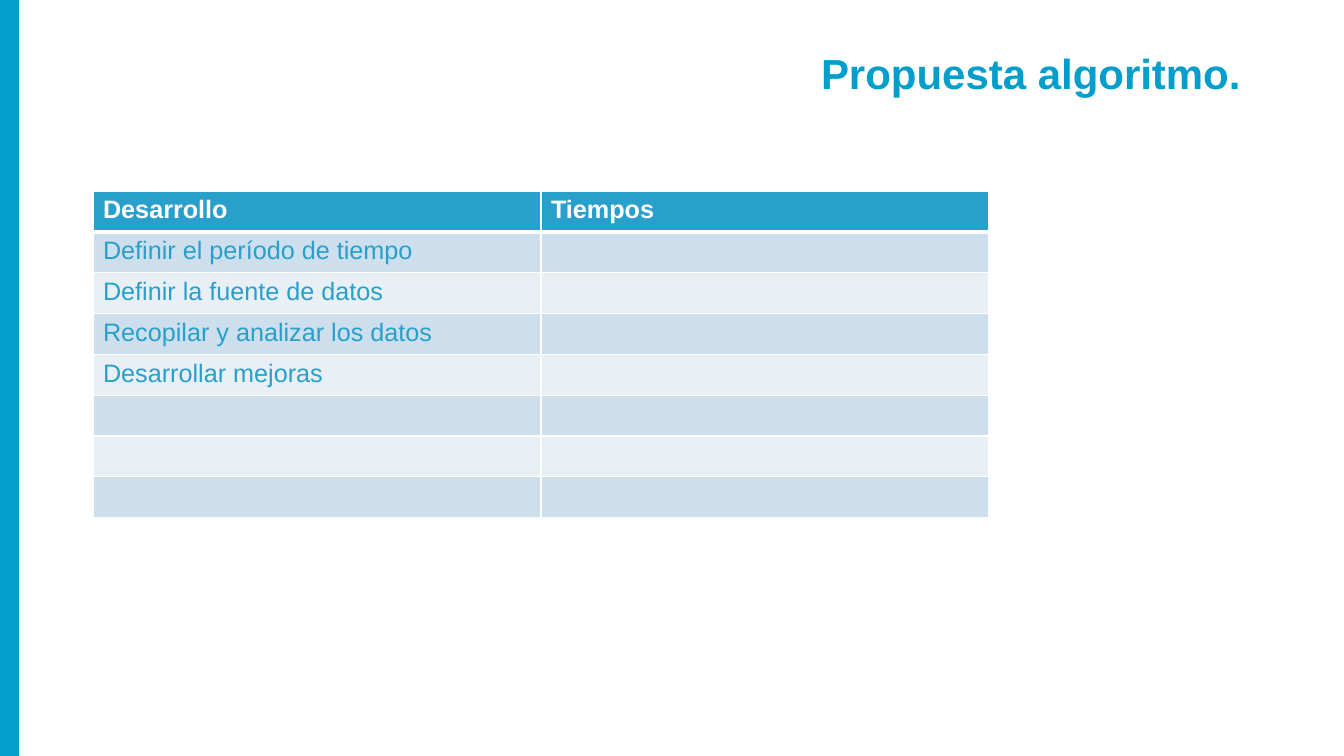
from dataclasses import dataclass

from lxml.etree import SubElement as Sub
from pptx import Presentation
from pptx.dml.color import RGBColor as Rgb
from pptx.enum.shapes import MSO_SHAPE as Shape
from pptx.enum.text import MSO_ANCHOR as Anchor, PP_ALIGN as Align
from pptx.oxml.ns import qn
from pptx.util import Emu, Pt

SCALE = 914400 / 100.8
WIDTH, HEIGHT = 1344, 756
HEADS = ("Desarrollo", "Tiempos")
STEPS = (
    "Definir el período de tiempo",
    "Definir la fuente de datos",
    "Recopilar y analizar los datos",
    "Desarrollar mejoras",
    "",
    "",
    "",
)


@dataclass(frozen=True)
class Theme:
    """Colours, font and type sizes of the slide."""

    font: str = "Arial"
    brand: str = "039ECC"
    head: str = "299FCC"
    bands: tuple = ("CDDFEC", "E8F0F6")
    white: str = "FFFFFF"
    title: int = 30
    body: int = 18
    thin: int = 1
    thick: int = 3


THEME = Theme()


def px(num):
    """Turn pixels into EMU."""
    return Emu(round(num * SCALE))


def paint(item, color):
    """Fill a shape or cell with one colour."""
    item.fill.solid()
    item.fill.fore_color.rgb = Rgb.from_string(color)


def write(frame, text, size=THEME.body, color=THEME.head, bold=False,
          align=Align.LEFT, space=1.0):
    """Put one formatted paragraph into a text frame."""
    para = frame.paragraphs[0]
    para.alignment = align
    para.line_spacing = space
    para.font.size = Pt(size)
    if text:
        run = para.add_run()
        run.text = text
        font = run.font
        font.name, font.size, font.bold = THEME.font, Pt(size), bold
        font.color.rgb = Rgb.from_string(color)


def edge(cell, **widths):
    """Draw white cell borders, widths in points by side."""
    props = cell._tc.get_or_add_tcPr()
    for spot, side in enumerate("LRTB"):
        width = Pt(widths.get(side, THEME.thin))
        line = Sub(props, qn(f"a:ln{side}"), w=str(width))
        fill = Sub(line, qn("a:solidFill"))
        Sub(fill, qn("a:srgbClr"), val=THEME.white)
        props.insert(spot, line)


def add_bar(slide, left, top, width, height):
    """Add the coloured bar at the side."""
    bar = slide.shapes.add_shape(
        Shape.RECTANGLE, px(left), px(top), px(width), px(height))
    bar.shadow.inherit = False
    paint(bar, THEME.brand)
    bar.line.fill.background()


def add_title(slide, left, top, width, height):
    """Add the title, aligned right."""
    box = slide.shapes.add_textbox(px(left), px(top), px(width), px(height))
    frame = box.text_frame
    frame.word_wrap = True
    frame.vertical_anchor = Anchor.MIDDLE
    write(frame, "Propuesta algoritmo.", size=THEME.title, color=THEME.brand,
          bold=True, align=Align.RIGHT, space=0.9)


def add_plan(slide, left, top, width, height):
    """Add the table of steps and times."""
    rows = [HEADS] + [(step, "") for step in STEPS]
    table = slide.shapes.add_table(
        len(rows), len(HEADS), px(left), px(top), px(width), px(height)).table
    for row, texts in enumerate(rows):
        table.rows[row].height = px(height / len(rows))
        for col, text in enumerate(texts):
            cell = table.cell(row, col)
            if row == 0:
                paint(cell, THEME.head)
                write(cell.text_frame, text, color=THEME.white, bold=True)
                edge(cell, B=THEME.thick)
            else:
                paint(cell, THEME.bands[(row - 1) % 2])
                write(cell.text_frame, text)
                edge(cell, T=THEME.thick if row == 1 else THEME.thin)


def main():
    """Build the slide and save it."""
    deck = Presentation()
    deck.slide_width, deck.slide_height = px(WIDTH), px(HEIGHT)
    slide = deck.slides.add_slide(deck.slide_layouts[6])
    add_bar(slide, 0, 0, 19, HEIGHT)
    add_title(slide, 92, 40, 1159, 72)
    add_plan(slide, 93, 191, 896, 327)
    deck.save("out.pptx")


if __name__ == "__main__":
    main()
